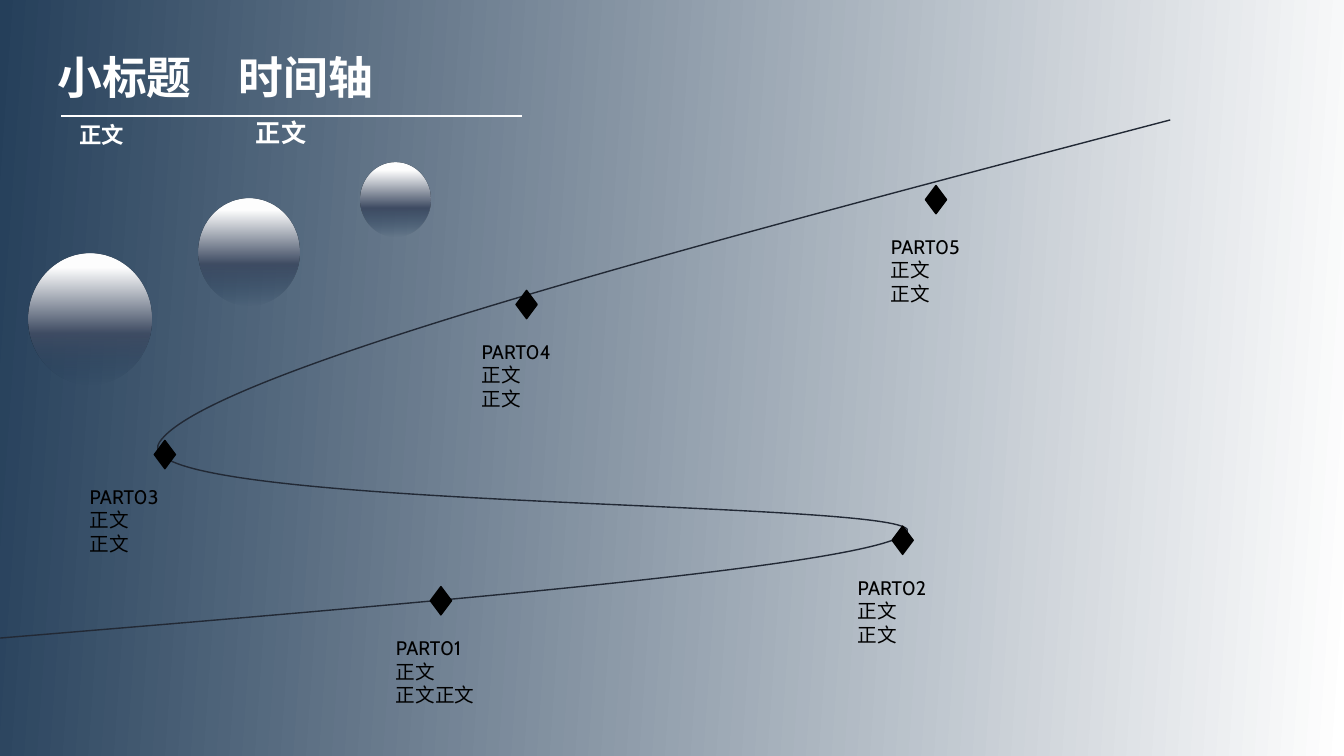
from copy import deepcopy
from dataclasses import dataclass

from pptx import Presentation
from pptx.dml.color import RGBColor
from pptx.enum.shapes import MSO_CONNECTOR, MSO_SHAPE
from pptx.enum.text import MSO_ANCHOR, MSO_AUTO_SIZE, PP_ALIGN
from pptx.oxml.ns import qn
from pptx.util import Pt
from lxml.etree import SubElement


@dataclass(frozen=True)
class Theme:
    navy: str = "253F5A"
    slate: str = "3F4C63"
    ink: str = "222935"
    white: str = "FFFFFF"
    black: str = "000000"
    heading_font: str = "Noto Sans CJK SC"
    body_font: str = "Cabin"
    heading_size: int = 32
    subheading_size: int = 18
    caption_size: int = 16
    label_size: int = 14


THEME = Theme()

CURVE_START = (0, 455.8)
CURVE_POINTS = [
    (314.6, 429.8), (629.3, 403.2), (648, 380.2),
    (666.7, 356.4), (82.8, 365), (113.8, 316.1),
    (145.4, 267.1), (490.3, 176.4), (835.9, 85.7),
]

# Diamond position, label offset from it, label lines
BELOW = (-31.7, 31.7)
MILESTONES = [
    ((307.4, 419), BELOW, ["PART01", "正文", "正文正文"]),
    ((637.2, 375.8), BELOW, ["PART02", "正文", "正文"]),
    ((110.2, 314.6), (-53.3, 28.1), ["PART03", "正文", "正文"]),
    ((368.6, 207.4), BELOW, ["PART04", "正文", "正文"]),
    ((661, 132.5), BELOW, ["PART05", "正文", "正文"]),
]

# Left, top, width
SPHERES = [(141.8, 141.8, 72), (257.8, 115.9, 49.7), (20.2, 181.4, 87.8)]
SPHERE_RATIO = 1.06


def place(shape, left, top, width, height):
    shape.left, shape.top = Pt(left), Pt(top)
    shape.width, shape.height = Pt(width), Pt(height)


def write(shape, lines, *, size, font=THEME.body_font, color=THEME.black, bold=False):
    frame = shape.text_frame
    frame.word_wrap = True
    frame.auto_size = MSO_AUTO_SIZE.NONE
    frame.vertical_anchor = MSO_ANCHOR.TOP
    for index, line in enumerate(lines):
        paragraph = frame.add_paragraph() if index else frame.paragraphs[0]
        paragraph.alignment = PP_ALIGN.LEFT
        run = paragraph.add_run()
        run.text = line
        run.font.size = Pt(size)
        run.font.bold = bold
        run.font.name = font
        run.font.color.rgb = RGBColor.from_string(color)
        SubElement(run.font._element, qn("a:ea"), typeface=font)


def add_text(slide, box, lines, **style):
    shape = slide.shapes.add_textbox(*(Pt(length) for length in box))
    write(shape, lines, **style)


def fill_gradient(fill, element, stops, angle):
    """Stops are (percent, colour, opacity percent); angle is counter-clockwise."""
    fill.gradient()
    fill.gradient_angle = angle
    stop_list = element.find(".//" + qn("a:gsLst"))
    for stop in list(stop_list):
        stop_list.remove(stop)
    for position, color, opacity in stops:
        stop = SubElement(stop_list, qn("a:gs"), pos=str(position * 1000))
        tint = SubElement(stop, qn("a:srgbClr"), val=color)
        if opacity < 100:
            SubElement(tint, qn("a:alpha"), val=str(opacity * 1000))


def add_rule(slide, left, right, top):
    rule = slide.shapes.add_connector(
        MSO_CONNECTOR.STRAIGHT, Pt(left), Pt(top), Pt(right), Pt(top))
    rule.line.color.rgb = RGBColor.from_string(THEME.white)
    rule.line.width = Pt(1.5)
    SubElement(rule._element.spPr, qn("a:effectLst"))


def add_curve(slide, start, points):
    """Draw cubic curves; every three points are two handles and an end."""
    builder = slide.shapes.build_freeform(Pt(start[0]), Pt(start[1]))
    builder.add_line_segments([(Pt(x), Pt(y)) for x, y in points], close=False)
    shape = builder.convert_to_shape()
    outline = shape._element.find(".//" + qn("a:path"))
    segments = outline.findall(qn("a:lnTo"))
    for first in range(0, len(segments), 3):
        curve = SubElement(outline, qn("a:cubicBezTo"))
        for segment in segments[first:first + 3]:
            curve.append(deepcopy(segment[0]))
            outline.remove(segment)
    shape.shadow.inherit = False
    shape.fill.background()
    shape.line.color.rgb = RGBColor.from_string(THEME.ink)
    shape.line.width = Pt(1)


def add_milestone(slide, position, offset, lines):
    left, top = position
    diamond = slide.shapes.add_shape(
        MSO_SHAPE.DIAMOND, Pt(left), Pt(top), Pt(15.1), Pt(20.2))
    diamond.shadow.inherit = False
    diamond.fill.solid()
    diamond.fill.fore_color.rgb = RGBColor.from_string(THEME.black)
    diamond.line.color.rgb = RGBColor.from_string(THEME.black)
    diamond.line.width = Pt(1)
    add_text(slide, (left + offset[0], top + offset[1], 162.7, 74.9), lines,
             size=THEME.label_size)


def add_sphere(slide, left, top, width):
    sphere = slide.shapes.add_shape(
        MSO_SHAPE.OVAL, Pt(left), Pt(top), Pt(width), Pt(width * SPHERE_RATIO))
    sphere.shadow.inherit = False
    sphere.line.fill.background()
    stops = [(0, THEME.navy, 0), (39, THEME.slate, 100), (89, THEME.white, 100)]
    fill_gradient(sphere.fill, sphere._element, stops, 90)


def main():
    presentation = Presentation()
    presentation.slide_width, presentation.slide_height = Pt(960), Pt(540)
    slide = presentation.slides.add_slide(presentation.slide_layouts[5])
    fill_gradient(slide.background.fill, slide.element,
                  [(0, THEME.navy, 100), (100, THEME.white, 100)], 356)

    heading = dict(size=THEME.heading_size, font=THEME.heading_font,
                   color=THEME.white, bold=True)
    title = slide.shapes.title
    place(title, 33.8, 31.7, 125, 46)
    write(title, ["小标题"], **heading)
    add_text(slide, (163.4, 31.7, 125, 46), ["时间轴"], **heading)
    add_rule(slide, 43.9, 373, 82.8)
    add_text(slide, (49.7, 82.8, 97.9, 26.6), ["正文"],
             size=THEME.caption_size, color=THEME.white, bold=True)
    add_text(slide, (175.7, 80.6, 155.5, 28.8), ["正文"],
             size=THEME.subheading_size, color=THEME.white, bold=True)

    add_curve(slide, CURVE_START, CURVE_POINTS)
    for milestone in MILESTONES:
        add_milestone(slide, *milestone)
    for sphere in SPHERES:
        add_sphere(slide, *sphere)
    presentation.save("out.pptx")


if __name__ == "__main__":
    main()
